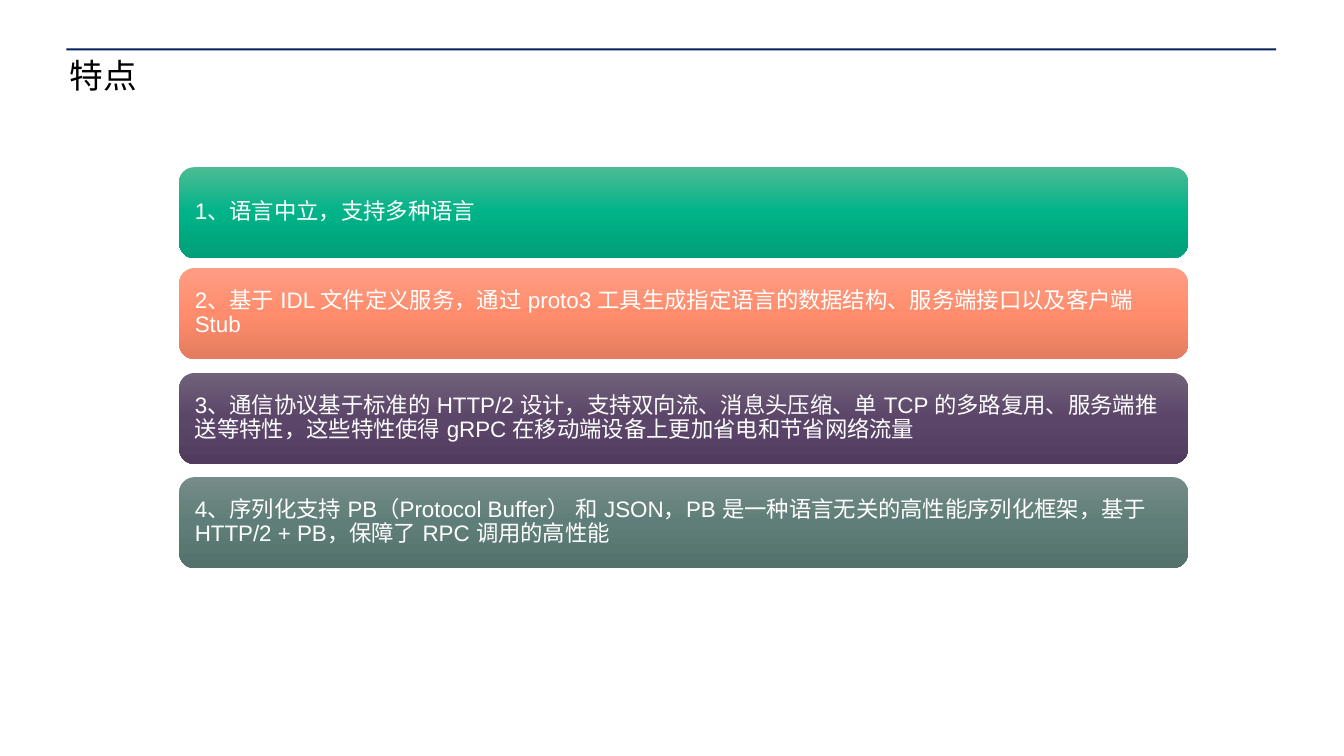
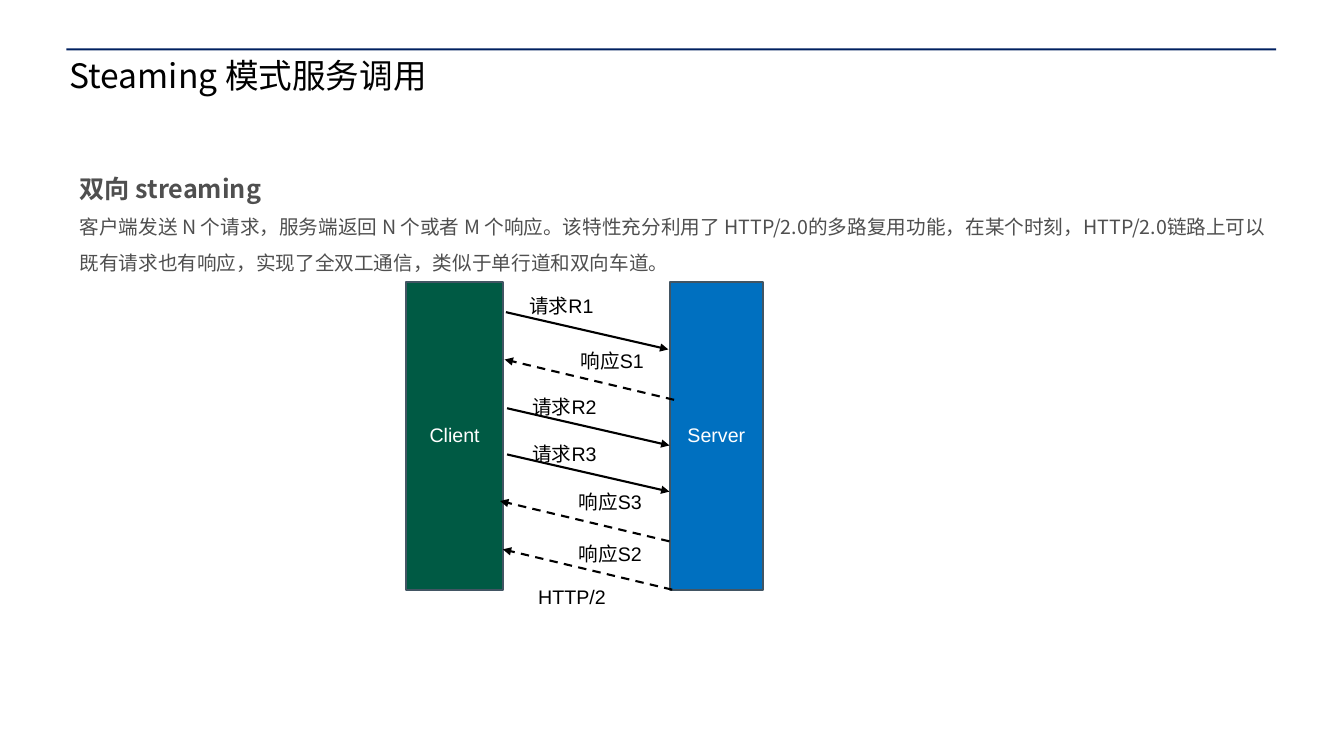
from dataclasses import dataclass
import copy

import pptx
import pptx.dml.color
import pptx.enum.dml
import pptx.enum.shapes
import pptx.enum.text
import pptx.oxml
import pptx.oxml.ns
import pptx.util

Pt = pptx.util.Pt
qn = pptx.oxml.ns.qn
SHAPE = pptx.enum.shapes.MSO_SHAPE
ANCHOR = pptx.enum.text.MSO_ANCHOR
ALIGN = pptx.enum.text.PP_ALIGN

NAVY, BLACK, WHITE = "002060", "000000", "FFFFFF"
GREEN, BLUE, SLATE, GREY = "005A44", "0070C0", "425563", "4F4F4F"
HEAD_FONT, BODY_FONT = "Noto Sans CJK SC", "Arial"


@dataclass
class Box:
    left: float
    top: float
    width: float
    height: float

    def lengths(self) -> list:
        return [Pt(v) for v in (self.left, self.top, self.width, self.height)]


@dataclass
class Feature:
    top: float
    colors: tuple
    text: str


@dataclass
class Pillar:
    name: str
    left: float
    width: float
    color: str


@dataclass
class Message:
    text: str
    x: float
    y: float
    label_x: float
    label_y: float
    is_response: bool = False


TITLE_BOX = Box(49.7, 42.5, 863.3, 67)
RULE_BOX = Box(47.5, 34.6, 864, 1.4)
INTRO_BOX = Box(49.7, 109.4, 863.3, 90.7)

FEATURES = [
    Feature(119.4, ("4BBC95", "00B388", "009F79"), "1、语言中立，支持多种语言"),
    Feature(191.4, ("FF9C83", "FF8D6D", "E57C5F"),
            "2、基于 IDL 文件定义服务，通过 proto3 工具生成指定语言的数据结构、"
            "服务端接口以及客户端 Stub"),
    Feature(266.4, ("70627A", "5B4569", "523C5E"),
            "3、通信协议基于标准的 HTTP/2 设计，支持双向流、消息头压缩、单 TCP 的多路复用、"
            "服务端推送等特性，这些特性使得 gRPC 在移动端设备上更加省电和节省网络流量"),
    Feature(340.8, ("758C88", "607E79", "54726C"),
            "4、序列化支持 PB（Protocol Buffer） 和 JSON，PB 是一种语言无关的高性能序列化框架，"
            "基于 HTTP/2 + PB，保障了 RPC 调用的高性能"),
]

PILLARS = [Pillar("Client", 290, 69.5, GREEN), Pillar("Server", 478.5, 66.5, BLUE)]
PILLAR_TOP, PILLAR_HEIGHT = 201.5, 219.8

MESSAGES = [
    Message("请求R1", 361.4, 223, 378, 211.7),
    Message("响应S1", 481.5, 285.6, 414.7, 251.3, True),
    Message("请求R2", 362.2, 291.6, 380.2, 283.7),
    Message("请求R3", 362.2, 324.6, 380.2, 317.5),
    Message("响应S3", 478.2, 386.7, 413.3, 352, True),
    Message("响应S2", 480.2, 421.2, 413.3, 388.8, True),
]
REQUEST_STEP, RESPONSE_STEP = (116, 26.6), (-121, -28.8)

INTRO_HEAD = "双向 streaming"
INTRO_BODY = ("客户端发送 N 个请求，服务端返回 N 个或者 M 个响应。该特性充分利用了 HTTP/2.0的多路复用功能，"
              "在某个时刻，HTTP/2.0链路上可以既有请求也有响应，实现了全双工通信，类似于单行道和双向车道。")


def rgb(color: str):
    return pptx.dml.color.RGBColor.from_string(color)


def format_paragraph(p, size: float, color: str, font: str = BODY_FONT, bold: bool = False,
                     spacing: float = 0.9, align=ALIGN.LEFT) -> None:
    p.alignment = align
    p.line_spacing = spacing
    for r in p.runs:
        r.font.size = Pt(size)
        r.font.bold = bold
        r.font.name = font
        r.font.color.rgb = rgb(color)
        ea = pptx.oxml.parse_xml(f'<a:ea {pptx.oxml.ns.nsdecls("a")} typeface="{font}"/>')
        r.font._element.find(qn("a:latin")).addnext(ea)


def set_frame(tf, anchor=ANCHOR.TOP, side: float = 0, edge: float = 0) -> None:
    tf.word_wrap = True
    tf.auto_size = pptx.enum.text.MSO_AUTO_SIZE.NONE
    tf.vertical_anchor = anchor
    tf.margin_left = tf.margin_right = Pt(side)
    tf.margin_top = tf.margin_bottom = Pt(edge)


def add_block(s, kind, box: Box):
    """Add a preset shape without shadow or outline."""
    sp = s.shapes.add_shape(kind, *box.lengths())
    sp.shadow.inherit = False
    sp.line.fill.background()
    return sp


def fill_solid(sp, color: str) -> None:
    sp.fill.solid()
    sp.fill.fore_color.rgb = rgb(color)


def fill_gradient(sp, colors: tuple) -> None:
    """Fill from top to bottom with three evenly spaced colours."""
    sp.fill.gradient()
    sp.fill.gradient_angle = 270
    stops = sp._element.spPr.find(".//" + qn("a:gsLst"))
    stops.append(copy.deepcopy(stops[-1]))
    for i, (stop, color) in enumerate(zip(sp.fill.gradient_stops, colors)):
        stop.color.rgb = rgb(color)
        stop.position = i / 2


def add_titled_slide(prs, title: str):
    s = prs.slides.add_slide(prs.slide_layouts[5])
    fill_solid(add_block(s, SHAPE.RECTANGLE, RULE_BOX), NAVY)
    sp = s.shapes.title
    sp.left, sp.top, sp.width, sp.height = TITLE_BOX.lengths()
    sp.text_frame.text = title
    set_frame(sp.text_frame)
    format_paragraph(sp.text_frame.paragraphs[0], 24, BLACK, HEAD_FONT)
    return s


def add_feature(s, feature: Feature) -> None:
    sp = add_block(s, SHAPE.ROUNDED_RECTANGLE, Box(128, feature.top, 720.6, 65))
    fill_gradient(sp, feature.colors)
    tf = sp.text_frame
    tf.text = feature.text
    set_frame(tf, ANCHOR.MIDDLE, 8, 8)
    format_paragraph(tf.paragraphs[0], 16, WHITE)


def add_intro(s) -> None:
    tf = s.shapes.add_textbox(*INTRO_BOX.lengths()).text_frame
    set_frame(tf, side=7.2, edge=3.6)
    tf.text = INTRO_HEAD
    format_paragraph(tf.paragraphs[0], 18, GREY, HEAD_FONT, True, 1.5)
    p = tf.add_paragraph()
    p.text = INTRO_BODY
    format_paragraph(p, 14, GREY, HEAD_FONT, spacing=1.5)


def add_pillar(s, pillar: Pillar) -> None:
    sp = add_block(s, SHAPE.RECTANGLE, Box(pillar.left, PILLAR_TOP, pillar.width, PILLAR_HEIGHT))
    fill_solid(sp, pillar.color)
    sp.line.color.rgb = rgb(SLATE)
    sp.line.width = Pt(1.5)
    sp.text_frame.text = pillar.name
    set_frame(sp.text_frame, ANCHOR.MIDDLE)
    format_paragraph(sp.text_frame.paragraphs[0], 14, WHITE, align=ALIGN.CENTER)


def add_label(s, text: str, box: Box) -> None:
    tf = s.shapes.add_textbox(*box.lengths()).text_frame
    tf.text = text
    set_frame(tf)
    format_paragraph(tf.paragraphs[0], 14, BLACK)


def add_message(s, message: Message) -> None:
    """Draw a solid request or dashed response arrow with its label."""
    dx, dy = RESPONSE_STEP if message.is_response else REQUEST_STEP
    line = s.shapes.add_connector(
        pptx.enum.shapes.MSO_CONNECTOR.STRAIGHT, Pt(message.x), Pt(message.y),
        Pt(message.x + dx), Pt(message.y + dy))
    line.line.color.rgb = rgb(BLACK)
    line.line.width = Pt(1.5)
    if message.is_response:
        line.line.dash_style = pptx.enum.dml.MSO_LINE.DASH
    ns = pptx.oxml.ns.nsdecls("a")
    line.line._get_or_add_ln().append(pptx.oxml.parse_xml(f'<a:tailEnd {ns} type="triangle"/>'))
    line._element.spPr.append(pptx.oxml.parse_xml(f"<a:effectLst {ns}/>"))
    add_label(s, message.text, Box(message.label_x, message.label_y, 67, 21.6))


def main() -> None:
    prs = pptx.Presentation()
    prs.slide_width, prs.slide_height = Pt(960), Pt(540)

    s = add_titled_slide(prs, "特点")
    for feature in FEATURES:
        add_feature(s, feature)

    s = add_titled_slide(prs, "Steaming 模式服务调用")
    add_intro(s)
    for pillar in PILLARS:
        add_pillar(s, pillar)
    for message in MESSAGES:
        add_message(s, message)
    add_label(s, "HTTP/2", Box(384.5, 419.8, 72, 13))

    prs.save("out.pptx")


if __name__ == "__main__":
    main()
